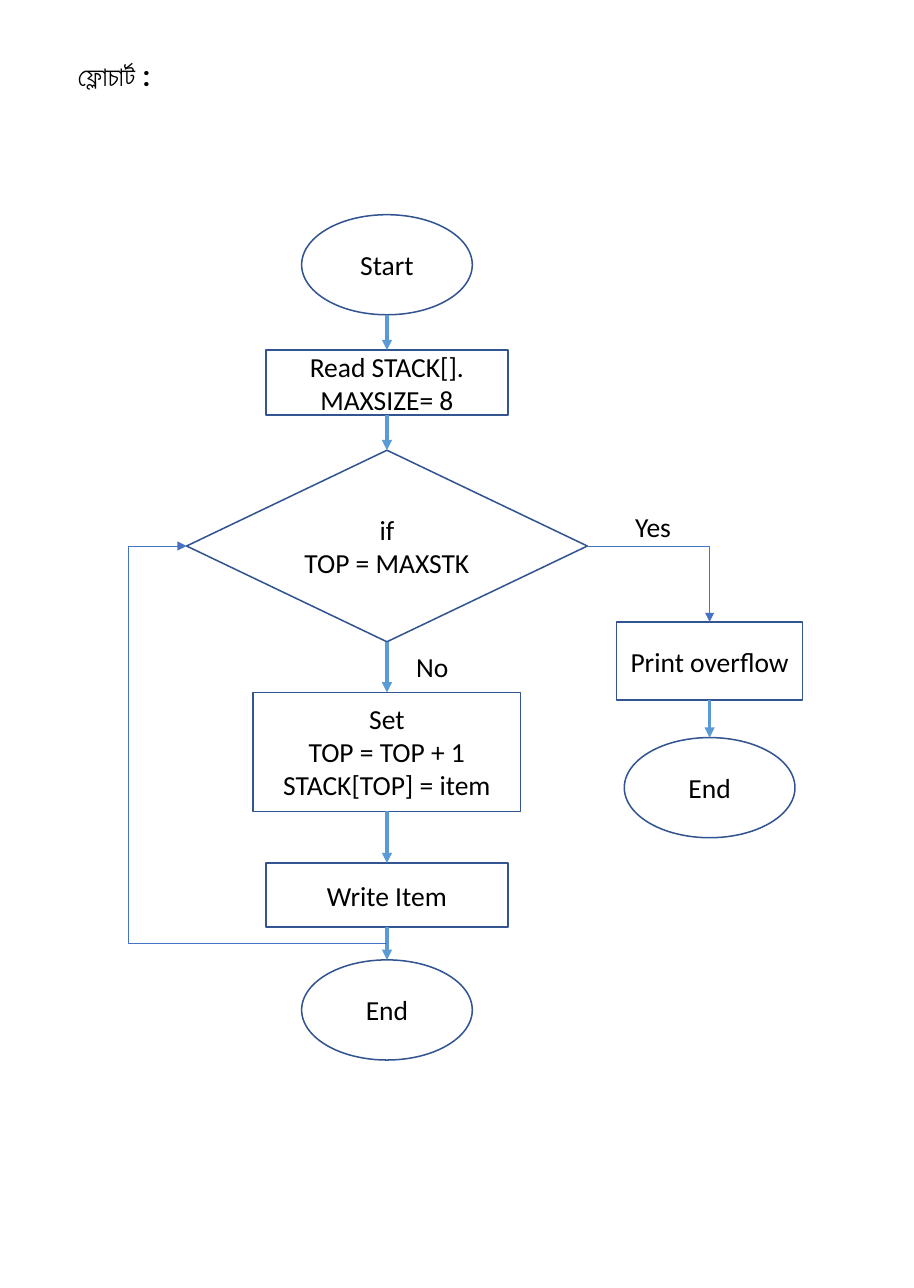
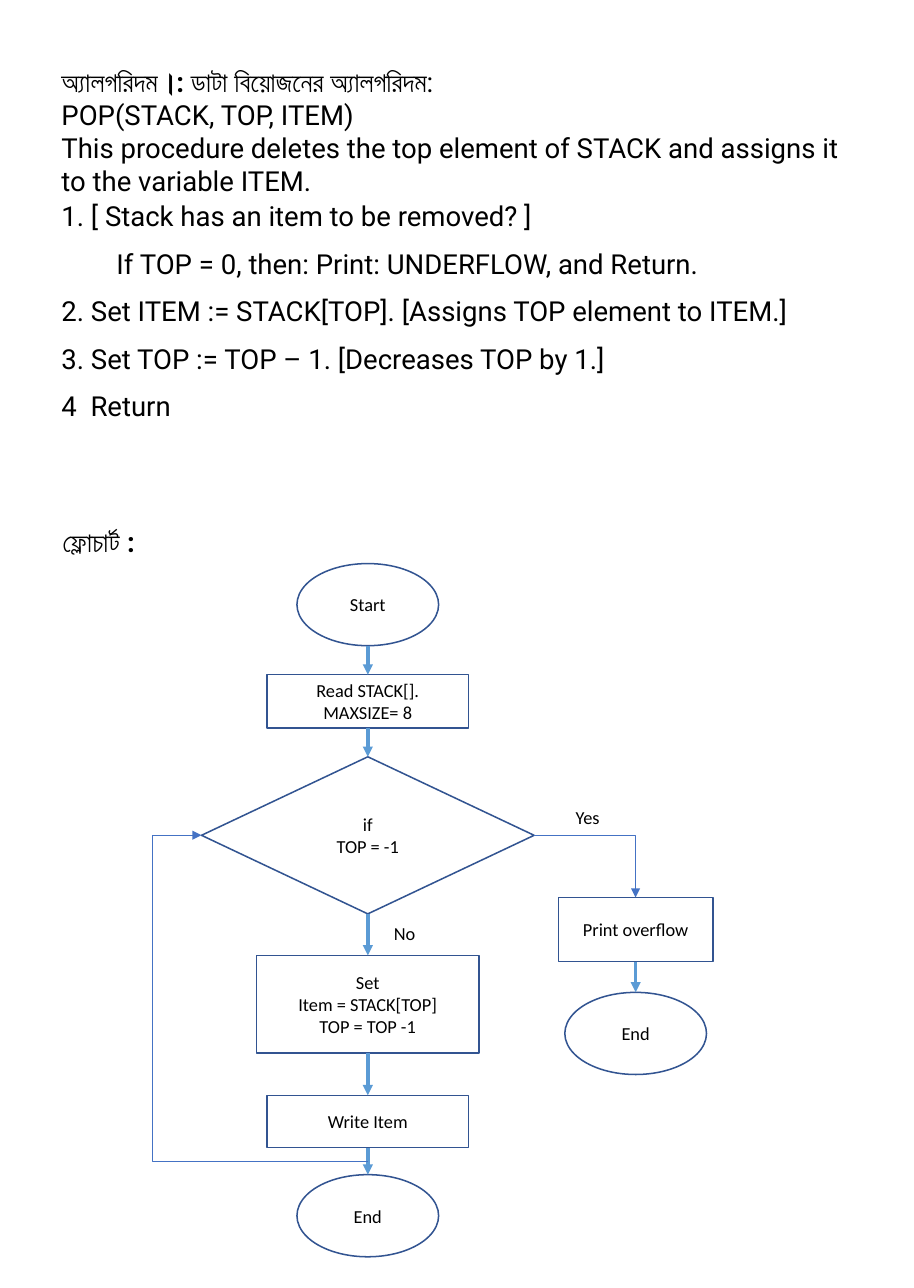
"""Build two portrait pages with the push and pop flowcharts of a stack."""
from dataclasses import dataclass

from lxml import etree
from pptx import Presentation
from pptx.dml.color import RGBColor
from pptx.enum.shapes import MSO_CONNECTOR, MSO_SHAPE
from pptx.enum.text import MSO_ANCHOR, MSO_AUTO_SIZE, PP_ALIGN
from pptx.oxml.ns import qn
from pptx.util import Pt

OVAL, BOX, DIAMOND = MSO_SHAPE.OVAL, MSO_SHAPE.RECTANGLE, MSO_SHAPE.DIAMOND
STRAIGHT, ELBOW = MSO_CONNECTOR.STRAIGHT, MSO_CONNECTOR.ELBOW
TOP, MIDDLE = MSO_ANCHOR.TOP, MSO_ANCHOR.MIDDLE
CENTER, LEFT = PP_ALIGN.CENTER, PP_ALIGN.LEFT
GROW = MSO_AUTO_SIZE.SHAPE_TO_FIT_TEXT
NORTH, WEST, SOUTH, EAST = range(4)


@dataclass(frozen=True)
class Theme:
    """Colours, fonts and sizes of both pages."""
    ink: RGBColor = RGBColor(0, 0, 0)
    outline: RGBColor = RGBColor(0x32, 0x54, 0x91)
    arrow: RGBColor = RGBColor(0x5B, 0x9B, 0xD5)
    branch: RGBColor = RGBColor(0x44, 0x72, 0xC4)
    body_font: str = "Roboto"
    chart_font: str = "Calibri"
    body_size: float = 18
    outline_width: float = 1
    arrow_width: float = 2.25
    branch_width: float = 0.5


THEME = Theme()
PAGE = (597.6, 842.4)
HEADING = "ফ্লোচার্ট :"
HEADING_SIZE = (102.2, 28.8)
STEP_FORMAT = {"line_spacing": 1.07, "space_after": Pt(8)}
INDENT = 36

ALGORITHM_BOX = (33.1, 38.9, 529.9, 242.6)
ALGORITHM = [
    ([("অ্যালগরিদম।: ", True), ("ডাটা বিয়োজনের অ্যালগরিদম:", False)], {}, 0),
    ([("POP(STACK, TOP, ITEM)", False)], {}, 0),
    ([("This procedure deletes the top element of STACK and assigns it "
       "to the variable ITEM.", False)], {}, 0),
    ([("1. [ Stack has an item to be removed? ]", False)], STEP_FORMAT, 0),
    ([("If TOP = 0, then: Print: UNDERFLOW, and Return.", False)],
     STEP_FORMAT, INDENT),
    ([("2. Set ITEM := STACK[TOP]. [Assigns TOP element to ITEM.]", False)],
     STEP_FORMAT, 0),
    ([("3. Set TOP := TOP – 1. [Decreases TOP by 1.]", False)], STEP_FORMAT, 0),
    ([("4  Return", False)], STEP_FORMAT, 0),
]

SIDE = 211
LOOP_LANE = -169.4
TERMINAL = (111.6, 65.5)
NODES = {
    "start": (OVAL, 0, 0, *TERMINAL),
    "read": (BOX, 0, 88.6, 158.4, 42.5),
    "test": (DIAMOND, 0, 154.1, 262, 125.3),
    "set": (BOX, 0, 312.5, 175, 77.8),
    "write": (BOX, 0, 424.1, 158.4, 41.8),
    "end": (OVAL, 0, 487.4, *TERMINAL),
    "print": (BOX, SIDE, 266.4, 121.7, 51.1),
    "stop": (OVAL, SIDE, 342, *TERMINAL),
}
CHAINS = [("start", "read", "test", "set", "write", "end"), ("print", "stop")]
BRANCH_LABELS = [("No", 12, 281.5), ("Yes", 155.2, 189.4)]
LABEL_SIZE = (87.8, 28.8)
COMMON_TEXT = {
    "start": ["Start"],
    "read": ["Read STACK[].", "MAXSIZE= 8"],
    "write": ["Write Item"],
    "end": ["End"],
    "print": ["Print overflow"],
    "stop": ["End"],
}

PAGES = [
    {"heading_at": (43.9, 35.3), "algorithm": [],
     "spine": 253, "top": 140.4, "scale": (1, 1), "size": 18,
     "text": {"test": ["if", "TOP = MAXSTK"],
              "set": ["Set", "TOP = TOP + 1", "STACK[TOP] = item"]}},
    {"heading_at": (33.8, 339.8), "algorithm": ALGORITHM,
     "spine": 240.5, "top": 368.6, "scale": (0.83, 0.82), "size": 12,
     "text": {"test": ["if", "TOP = -1"],
              "set": ["Set", "Item = STACK[TOP]", "TOP = TOP -1"]}},
]


def apply(target, values):
    """Set each named attribute on the target."""
    for name, value in values.items():
        setattr(target, name, value)


def write(frame, paragraphs, font, size, align, anchor):
    """Fill a text frame with (runs, format, indent) paragraphs."""
    apply(frame, {"word_wrap": True, "vertical_anchor": anchor})
    for number, (runs, values, indent) in enumerate(paragraphs):
        paragraph = frame.add_paragraph() if number else frame.paragraphs[0]
        apply(paragraph, {"alignment": align, **values})
        if indent:
            paragraph._p.get_or_add_pPr().set("marL", str(Pt(indent)))
        for words, bold in runs:
            run = paragraph.add_run()
            run.text = words
            apply(run.font, {"name": font, "size": Pt(size), "bold": bold})
            run.font.color.rgb = THEME.ink


def plain(lines):
    """Turn lines into unformatted paragraphs."""
    return [([(line, False)], {}, 0) for line in lines]


def add_text(slide, box, paragraphs, font, size, anchor=TOP):
    """Add a text box that grows with its text."""
    frame = slide.shapes.add_textbox(*map(Pt, box)).text_frame
    write(frame, paragraphs, font, size, LEFT, anchor)
    frame.auto_size = GROW


def add_node(slide, kind, box, lines, size):
    """Add one outlined step of a flowchart."""
    node = slide.shapes.add_shape(kind, *map(Pt, box))
    node.shadow.inherit = False
    node.fill.background()
    node.line.color.rgb = THEME.outline
    node.line.width = Pt(THEME.outline_width)
    write(node.text_frame, plain(lines), THEME.chart_font, size, CENTER, MIDDLE)
    return node


def add_arrow(slide, kind, target, side, color, width, source=None, start=(0, 0)):
    """Add an arrow from a (node, side) source or a start point to a node."""
    arrow = slide.shapes.add_connector(kind, *map(Pt, start * 2))
    if source:
        arrow.begin_connect(*source)
    arrow.end_connect(target, side)
    arrow.line.color.rgb = color
    arrow.line.width = Pt(width)
    properties = arrow._element.spPr
    etree.SubElement(properties.find(qn("a:ln")), qn("a:tailEnd"), type="triangle")
    etree.SubElement(properties, qn("a:effectLst"))
    return properties.find(qn("a:prstGeom"))


def add_flowchart(slide, page):
    """Place the shared flowchart at the page's own scale."""
    across, down = page["scale"]
    size = page["size"]

    def place(x, y, w, h):
        return (page["spine"] + x * across, page["top"] + y * down,
                w * across, h * down)

    texts = {**COMMON_TEXT, **page["text"]}
    nodes = {
        key: add_node(slide, kind, place(x - w / 2, y, w, h), texts[key], size)
        for key, (kind, x, y, w, h) in NODES.items()
    }
    for chain in CHAINS:
        for upper, lower in zip(chain, chain[1:]):
            add_arrow(slide, STRAIGHT, nodes[lower], NORTH, THEME.arrow,
                      THEME.arrow_width, (nodes[upper], SOUTH))
    for label, x, y in BRANCH_LABELS:
        add_text(slide, place(x, y, *LABEL_SIZE), plain([label]),
                 THEME.chart_font, size)

    branch = (THEME.branch, THEME.branch_width)
    yes_path = add_arrow(slide, ELBOW, nodes["print"], NORTH, *branch,
                         source=(nodes["test"], EAST))
    yes_path.set("prst", "bentConnector2")

    write_bottom = NODES["write"][2] + NODES["write"][4]
    loop_y = (write_bottom + NODES["end"][2]) / 2
    loop_path = add_arrow(slide, ELBOW, nodes["test"], WEST, *branch,
                          start=place(0, loop_y, 0, 0)[:2])
    bend = round(-LOOP_LANE / (NODES["test"][3] / 2) * 100000)
    etree.SubElement(loop_path.find(qn("a:avLst")), qn("a:gd"),
                     name="adj1", fmla=f"val {bend}")


def main():
    """Build and save the deck."""
    deck = Presentation()
    apply(deck, dict(zip(("slide_width", "slide_height"), map(Pt, PAGE))))
    for page in PAGES:
        slide = deck.slides.add_slide(deck.slide_layouts[6])
        if page["algorithm"]:
            add_text(slide, ALGORITHM_BOX, page["algorithm"],
                     THEME.body_font, THEME.body_size)
        add_text(slide, (*page["heading_at"], *HEADING_SIZE),
                 [([(HEADING, True)], {}, 0)],
                 THEME.body_font, THEME.body_size, MIDDLE)
        add_flowchart(slide, page)
    deck.save("out.pptx")


if __name__ == "__main__":
    main()
